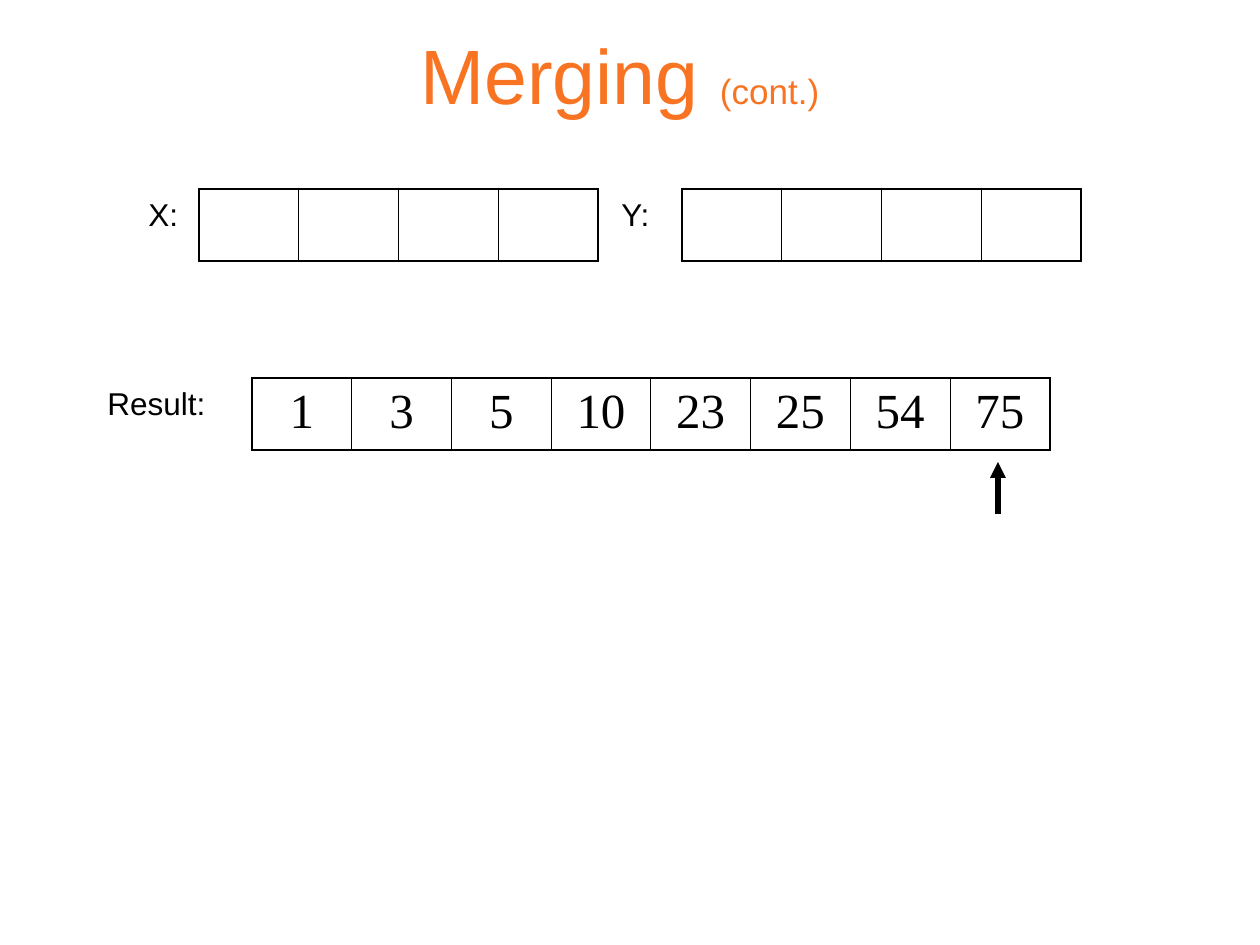
from pptx import Presentation
from pptx.dml.color import RGBColor
from pptx.enum.shapes import MSO_CONNECTOR
from pptx.enum.text import MSO_ANCHOR, PP_ALIGN
from pptx.oxml.ns import qn
from pptx.util import Emu, Pt
from lxml import etree

LINE = MSO_CONNECTOR.STRAIGHT
MID = MSO_ANCHOR.MIDDLE
LEFT, CENTER = PP_ALIGN.LEFT, PP_ALIGN.CENTER
BLACK, ORANGE = "000000", "F87422"
THIN, THICK = 0.45, 1.08


def px(num):
    return Emu(round(num * 914400 / 126))


def paint(color, code):
    color.rgb = RGBColor.from_string(code)


def style(run, size, face="Arial", code=BLACK):
    run.font.size = Pt(size)
    run.font.name = face
    paint(run.font.color, code)


def add_title(slide, parts):
    title = slide.shapes.title
    title.left, title.top, title.width, title.height = map(px, (95, 21, 1071, 105))
    frame = title.text_frame
    frame.vertical_anchor = MID
    para = frame.paragraphs[0]
    para.alignment = CENTER
    for text, size in parts:
        run = para.add_run()
        run.text = text
        style(run, size, code=ORANGE)


def add_label(slide, text, left, top, width):
    box = slide.shapes.add_textbox(px(left), px(top), px(width), px(50))
    frame = box.text_frame
    frame.word_wrap = True
    frame.text = text
    para = frame.paragraphs[0]
    para.alignment = LEFT
    style(para.runs[0], 18)


def add_edge(cell, side, width):
    props = cell._tc.get_or_add_tcPr()
    edge = etree.SubElement(props, qn(f"a:ln{side}"), w=str(Pt(width)))
    fill = etree.SubElement(edge, qn("a:solidFill"))
    etree.SubElement(fill, qn("a:srgbClr"), val=BLACK)


def add_array(slide, items, left, top, width):
    count = len(items)
    shape = slide.shapes.add_table(1, count, px(left), px(top), px(width), px(72))
    table = shape.table
    table.first_row = table.horz_banding = False
    for i, text in enumerate(items):
        cell = table.cell(0, i)
        add_edge(cell, "L", THICK if i == 0 else THIN)
        add_edge(cell, "R", THICK if i == count - 1 else THIN)
        add_edge(cell, "T", THICK)
        add_edge(cell, "B", THICK)
        cell.fill.background()
        if text:
            cell.text = text
            para = cell.text_frame.paragraphs[0]
            para.alignment = CENTER
            style(para.runs[0], 28, "Times New Roman")


def add_arrow(slide, left, start, end):
    arrow = slide.shapes.add_connector(LINE, px(left), px(start), px(left), px(end))
    arrow.line.width = Pt(3)
    paint(arrow.line.color, BLACK)
    props = arrow.element.spPr
    etree.SubElement(props.find(qn("a:ln")), qn("a:tailEnd"), type="triangle")
    etree.SubElement(props, qn("a:effectLst"))


def main():
    deck = Presentation()
    deck.slide_width, deck.slide_height = px(1260), px(945)
    slide = deck.slides.add_slide(deck.slide_layouts[5])
    add_title(slide, [("Merging ", 44), ("(cont.)", 20), (" ", 44)])
    add_array(slide, [""] * 4, 199, 189, 399)
    add_array(slide, [""] * 4, 682, 189, 399)
    add_array(slide, ["1", "3", "5", "10", "23", "25", "54", "75"], 252, 378, 798)
    add_arrow(slide, 998, 514, 462)
    add_label(slide, "X:", 136, 189, 74)
    add_label(slide, "Y:", 609, 189, 74)
    add_label(slide, "Result:", 95, 378, 147)
    deck.save("out.pptx")


if __name__ == "__main__":
    main()
